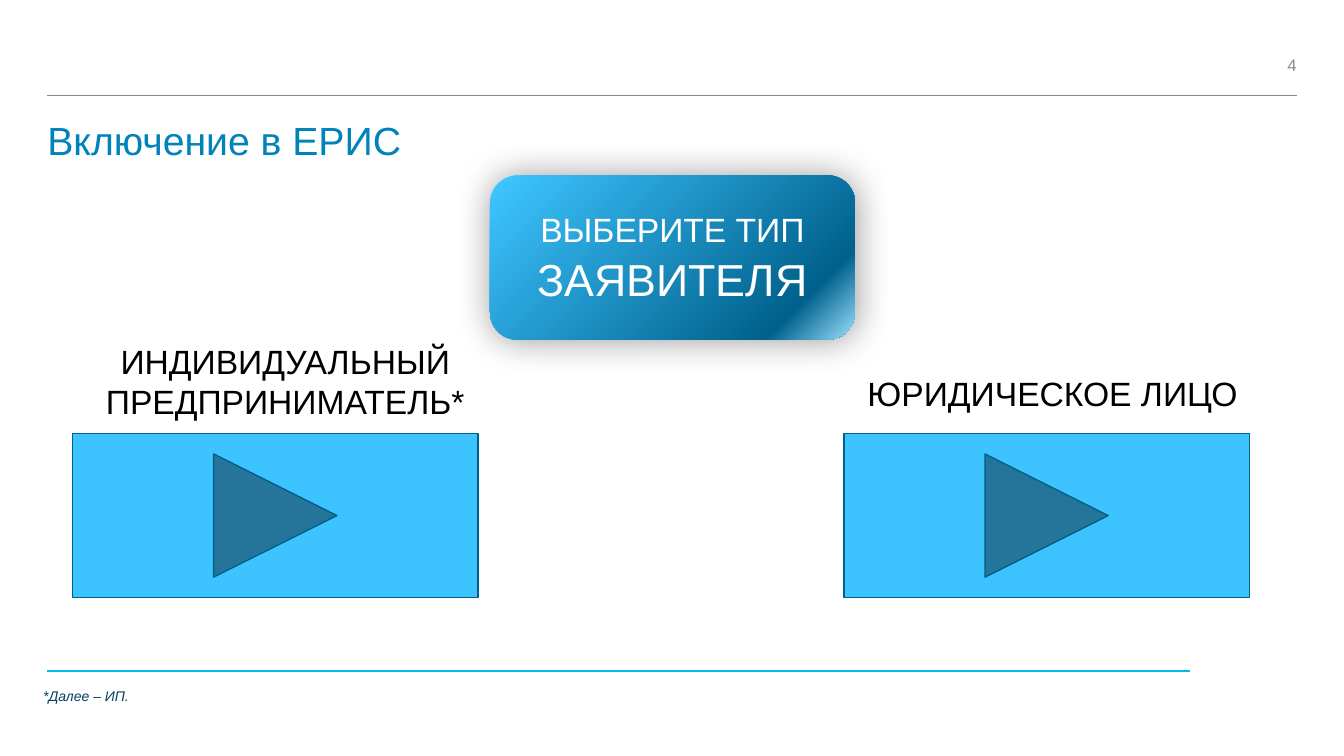
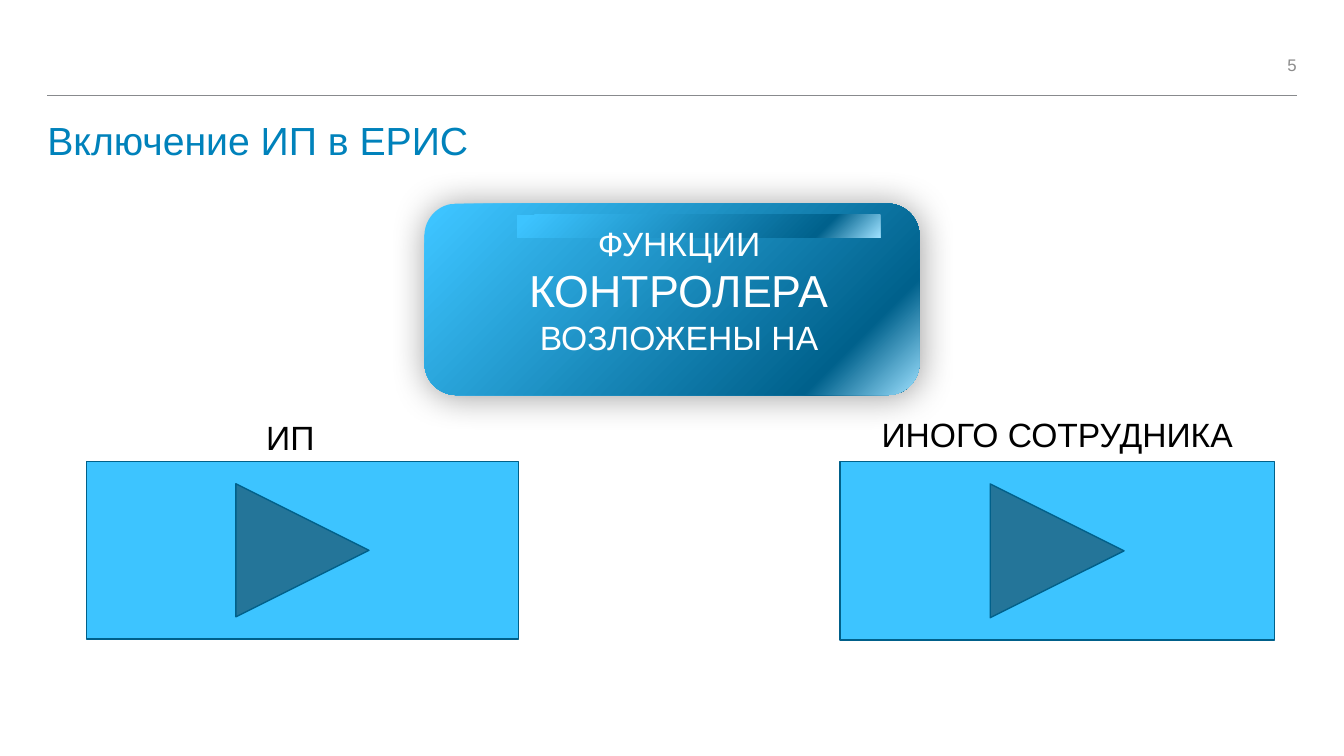
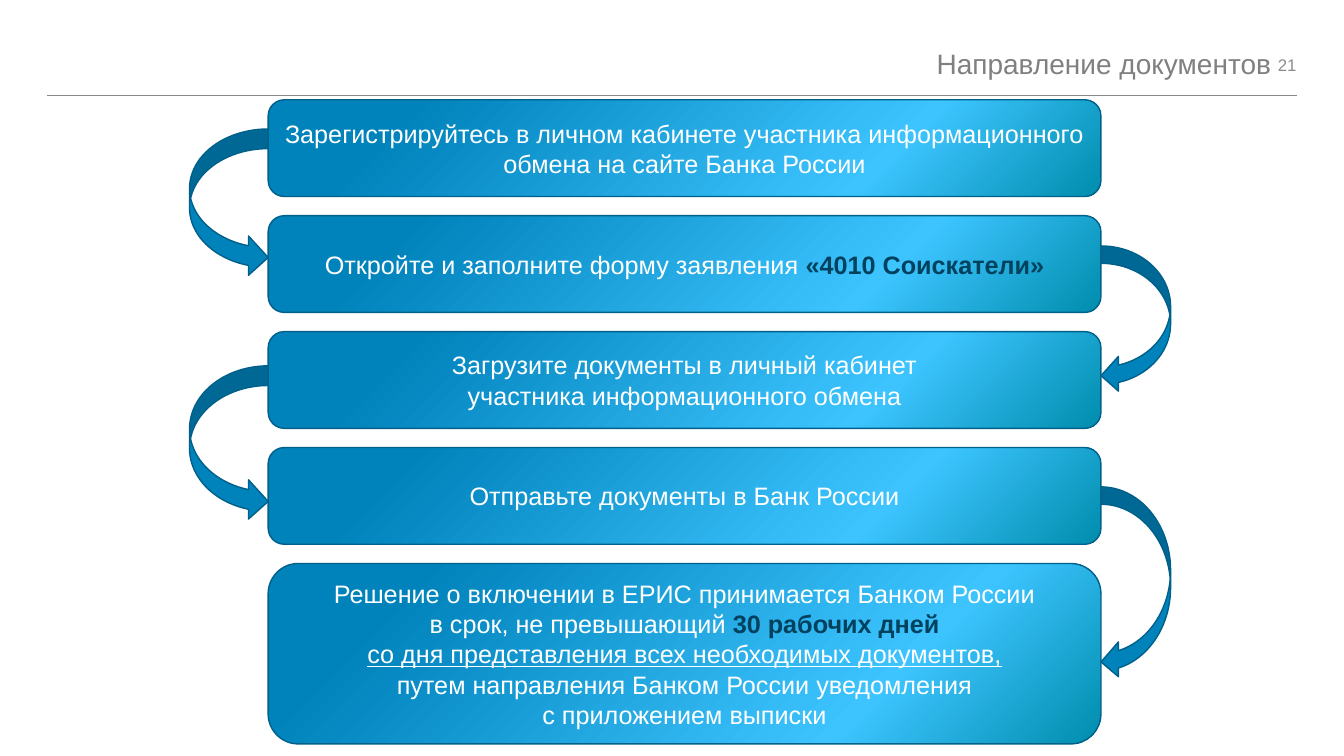
"""Build three slides on joining the ЕРИС register and sending documents."""
import copy

import pptx
import pptx.dml.color
import pptx.enum.shapes
import pptx.enum.text
import pptx.oxml
import pptx.oxml.ns
import pptx.oxml.xmlchemy
import pptx.util

Inches = pptx.util.Inches
Pt = pptx.util.Pt
Shape = pptx.enum.shapes.MSO_SHAPE
Align = pptx.enum.text.PP_ALIGN
Anchor = pptx.enum.text.MSO_ANCHOR
qn = pptx.oxml.ns.qn

BLUE, SKY, NAVY, EDGE = "0082BB", "3DC4FF", "00415E", "00608A"
WHITE, BLACK = "FFFFFF", "000000"
BANNER_STOPS = [(0.03, SKY), (0.83, "00618C"), (1, "9EE1FF")]
STEP_STOPS = [(0.16, BLUE), (0.73, SKY), (1, "008DAD")]
SHADOW = (
    f'<a:effectLst {pptx.oxml.ns.nsdecls("a")}>'
    '<a:outerShdw blurRad="330200" dist="12700" dir="2400000" algn="ctr" rotWithShape="0">'
    '<a:srgbClr val="000000"><a:alpha val="40000"/></a:srgbClr>'
    "</a:outerShdw></a:effectLst>"
)


def color(code):
    return pptx.dml.color.RGBColor.from_string(code)


def write(box, lines, size=24, hue=BLACK, align=Align.CENTER, anchor=Anchor.TOP,
          italic=False, spacing=None, inset=True):
    frame = box.text_frame
    frame.word_wrap = True
    frame.auto_size = pptx.enum.text.MSO_AUTO_SIZE.NONE
    frame.vertical_anchor = anchor
    if not inset:
        frame.margin_left = frame.margin_right = frame.margin_top = frame.margin_bottom = 0
    for index, line in enumerate(lines):
        para = frame.add_paragraph() if index else frame.paragraphs[0]
        para.alignment = align
        if spacing:
            para.line_spacing = spacing
        for text, style in [(line, {})] if isinstance(line, str) else line:
            span = para.add_run()
            span.text = text
            span.font.name = "Arial"
            span.font.size = Pt(style.get("size", size))
            span.font.color.rgb = color(style.get("hue", hue))
            span.font.bold = style.get("bold", False)
            span.font.italic = italic
            span.font.underline = style.get("underline", False)


deck = pptx.Presentation()
deck.slide_width = Inches(13.33)
deck.slide_height = Inches(7.5)

heading = dict(size=28, hue=BLUE, align=Align.LEFT, spacing=0.9)
running = dict(size=20, hue="808080", align=Align.RIGHT, spacing=1.1)
pages = []
rules = []
for title, number, left, top, style in [
    ("Включение в ЕРИС", "4", 0.47, 1.21, heading),
    ("Включение ИП в ЕРИС", "5", 0.47, 1.21, heading),
    ("Направление документов", "21", 0.22, 0.43, running),
]:
    page = deck.slides.add_slide(deck.slide_layouts[5])
    box = page.shapes.title
    box.left, box.top = Inches(left), Inches(top)
    box.width, box.height = Inches(12.39), Inches(0.66)
    write(box, [title], inset=False, **style)
    box = page.shapes.add_textbox(Inches(12.05), Inches(0.47), Inches(0.81), Inches(0.35))
    write(box, [number], size=12, hue="8C8C8C", align=Align.RIGHT, anchor=Anchor.MIDDLE, inset=False)
    pages.append(page)
    rules.append((page, 12.86, 0.95, "888A8D", 0.5))
applicant, controller, sending = pages

rules.append((applicant, 11.8, 6.66, "00BCE7", 1.5))
for page, right, top, hue, weight in rules:
    rule = page.shapes.add_connector(
        pptx.enum.shapes.MSO_CONNECTOR.STRAIGHT, Inches(0.47), Inches(top), Inches(right), Inches(top))
    rule.line.color.rgb = color(hue)
    rule.line.width = Pt(weight)
    rule._element.spPr.append(pptx.oxml.xmlchemy.OxmlElement("a:effectLst"))

outlined = []
for page, left, top, width, height in [
    (applicant, 0.72, 4.3, 4.02, 1.63),
    (applicant, 8.37, 4.3, 4.02, 1.63),
    (controller, 0.86, 4.58, 4.28, 1.76),
    (controller, 8.33, 4.58, 4.31, 1.77),
]:
    button = page.shapes.add_shape(
        Shape.ACTION_BUTTON_FORWARD_OR_NEXT, Inches(left), Inches(top), Inches(width), Inches(height))
    button.fill.solid()
    button.fill.fore_color.rgb = color(SKY)
    outlined.append(button)

gradients = []
for page, kind, left, top, width, height in [
    (applicant, Shape.ROUNDED_RECTANGLE, 4.86, 1.74, 3.62, 1.63),
    (controller, Shape.ROUNDED_RECTANGLE, 4.21, 2.02, 4.91, 1.9),
    (controller, Shape.RECTANGLE, 5.13, 2.13, 3.6, 0.23),
]:
    banner = page.shapes.add_shape(kind, Inches(left), Inches(top), Inches(width), Inches(height))
    banner.line.fill.background()
    gradients.append((banner, BANNER_STOPS, kind == Shape.ROUNDED_RECTANGLE))

for page, left, top, width, height, lines, style in [
    (applicant, 4.22, 1.91, 4.9, 1.18,
     [[("ВЫБЕРИТЕ ТИП", {}), (" ЗАЯВИТЕЛЯ", {"size": 32})]], dict(hue=WHITE)),
    (applicant, 0.93, 3.33, 3.8, 0.91, ["ИНДИВИДУАЛЬНЫЙ ПРЕДПРИНИМАТЕЛЬ*"], {}),
    (applicant, 8.36, 3.65, 4.16, 0.5, ["ЮРИДИЧЕСКОЕ ЛИЦО"], {}),
    (applicant, 0.33, 6.77, 3.63, 0.27, ["*Далее – ИП."],
     dict(size=10, hue=NAVY, align=Align.JUSTIFY, italic=True)),
    (controller, 3.22, 2.16, 7.03, 1.45,
     ["ФУНКЦИИ", [("КОНТРОЛЕРА", {"size": 32})], "ВОЗЛОЖЕНЫ НА"], dict(hue=WHITE)),
    (controller, 0.74, 4.09, 4.28, 0.5, ["ИП"], {}),
    (controller, 8.33, 4.06, 4.31, 0.5, ["ИНОГО СОТРУДНИКА"], {}),
]:
    box = page.shapes.add_textbox(Inches(left), Inches(top), Inches(width), Inches(height))
    write(box, lines, **style)

strong = {"hue": NAVY, "bold": True}
steps = [
    ["Зарегистрируйтесь в личном кабинете участника информационного",
     "обмена на сайте Банка России"],
    [[("Откройте и заполните форму заявления ", {}), ("«4010 Соискатели»", strong)]],
    ["Загрузите документы в личный кабинет", "участника информационного обмена"],
    ["Отправьте документы в Банк России"],
    ["Решение о включении в ЕРИС принимается Банком России",
     [("в срок, не превышающий ", {}), ("30 рабочих дней", strong)],
     [("со дня представления всех необходимых документов,", {"underline": True})],
     "путем направления Банком России уведомления",
     "с приложением выписки"],
]
for index, lines in enumerate(steps):
    height = 1.79 if len(lines) > 2 else 0.96
    top = 0.99 + 1.15 * index
    step = sending.shapes.add_shape(
        Shape.ROUNDED_RECTANGLE, Inches(2.66), Inches(top), Inches(8.26), Inches(height))
    write(step, lines, size=18, hue=WHITE, anchor=Anchor.MIDDLE)
    gradients.append((step, STEP_STOPS, False))
    outlined.append(step)

for kind, left, top, width, height in [
    (Shape.CURVED_RIGHT_ARROW, 1.88, 1.28, 0.78, 1.47),
    (Shape.CURVED_LEFT_ARROW, 10.92, 2.44, 0.69, 1.46),
    (Shape.CURVED_RIGHT_ARROW, 1.88, 3.63, 0.78, 1.54),
    (Shape.CURVED_LEFT_ARROW, 10.92, 4.83, 0.69, 1.91),
]:
    arrow = sending.shapes.add_shape(kind, Inches(left), Inches(top), Inches(width), Inches(height))
    arrow.fill.solid()
    arrow.fill.fore_color.rgb = color(BLUE)
    outlined.append(arrow)

for shape in outlined:
    shape.line.color.rgb = color(EDGE)
    shape.line.width = Pt(1)
    shape.shadow.inherit = False

for shape, stops, shaded in gradients:
    shape.fill.gradient()
    shape.fill.gradient_angle = 315
    stop_list = shape._element.spPr.find(".//" + qn("a:gsLst"))
    stop_list.append(copy.deepcopy(stop_list[0]))
    for stop, (position, hue) in zip(shape.fill.gradient_stops, stops):
        stop.position = position
        stop.color.rgb = color(hue)
    if shaded:
        shape._element.spPr.append(pptx.oxml.parse_xml(SHADOW))
    else:
        shape.shadow.inherit = False

deck.save("out.pptx")
